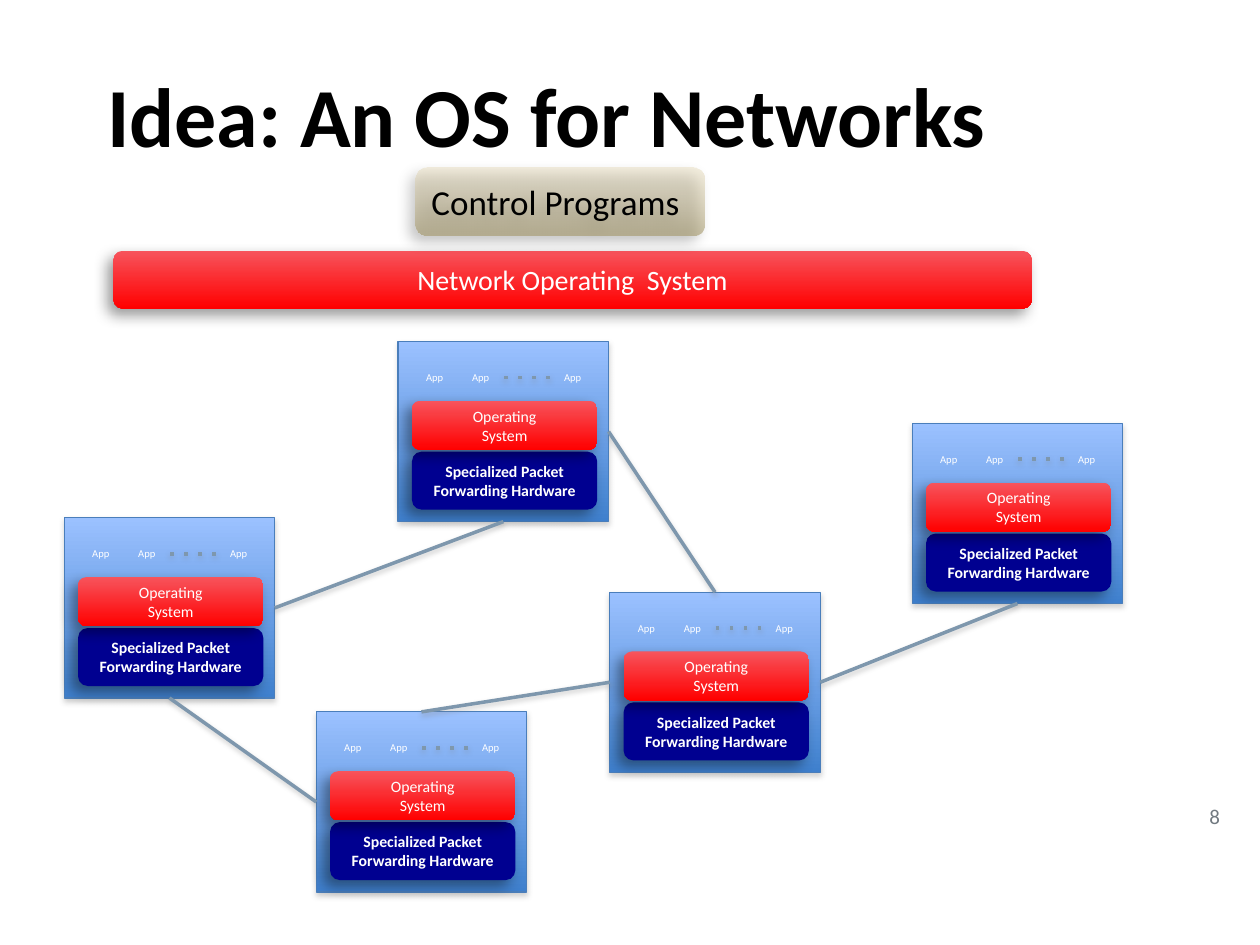
from lxml.etree import SubElement
from pptx import Presentation
from pptx.dml.color import RGBColor
from pptx.enum.dml import MSO_LINE
from pptx.enum.shapes import MSO_CONNECTOR, MSO_SHAPE
from pptx.enum.text import MSO_ANCHOR, PP_ALIGN
from pptx.oxml.ns import qn
from pptx.util import Inches, Pt

COLS, ROWS = 100, 75
CELL = Inches(10) // COLS
TOP, LEFT, BOTTOM, RIGHT = range(4)  # connection sites of a rectangle
RED = ("F7545C", "FF0000")
BLUE = ("9BC1FF", "3F80CD")
TAN = ("E6DAB8", "A49768")
NODE_W, NODE_H = 16.7, 14.3
NODES = {
    "west": (5.1, 41.1),
    "north": (31.6, 27.1),
    "east": (72.4, 33.6),
    "south": (25.1, 56.5),
    "mid": (48.4, 47),
}
LINKS = [
    ("west", RIGHT, "north", BOTTOM),
    ("north", RIGHT, "mid", TOP),
    ("south", TOP, "mid", LEFT),
    ("west", BOTTOM, "south", LEFT),
    ("mid", RIGHT, "east", BOTTOM),
]


def grid(*cells):
    return [round(n * CELL) for n in cells]


def color(code):
    return RGBColor.from_string(code)


def write(shape, text, size, ink="FFFFFF", bold=False, align=PP_ALIGN.CENTER,
          inset=None, spacing=None):
    """Fill a shape with text, one paragraph for each line."""
    frame = shape.text_frame
    frame.word_wrap = True
    frame.vertical_anchor = MSO_ANCHOR.MIDDLE
    if inset is not None:
        frame.margin_left = frame.margin_right = inset
        frame.margin_top = frame.margin_bottom = inset
    frame.text = text
    for para in frame.paragraphs:
        para.alignment = align
        if spacing:
            para.line_spacing = spacing
        font = para.runs[0].font
        font.name, font.size, font.bold = "Calibri", Pt(size), bold
        font.color.rgb = color(ink)


def cast(shape, ink, alpha, blur, dist, angle):
    """Give a shape an outer shadow; alpha in percent, angle in degrees."""
    props = shape._element.spPr
    for old in props.findall(qn("a:effectLst")):
        props.remove(old)
    effects = SubElement(props, qn("a:effectLst"))
    shade = SubElement(effects, qn("a:outerShdw"), blurRad=str(Pt(blur)),
                       dist=str(Pt(dist)), dir=str(angle * 60000),
                       rotWithShape="0")
    tone = SubElement(shade, qn("a:srgbClr"), val=ink)
    SubElement(tone, qn("a:alpha"), val=str(alpha * 1000))


def paint(shape, fill, alphas=()):
    """Use a solid colour, or a (top, bottom) pair as a gradient."""
    if isinstance(fill, str):
        shape.fill.solid()
        shape.fill.fore_color.rgb = color(fill)
        return
    shape.fill.gradient()
    shape.fill.gradient_angle = 270
    for stop, code in zip(shape.fill.gradient_stops, fill):
        stop.color.rgb = color(code)
    tones = shape._element.spPr.iter(qn("a:srgbClr"))
    for tone, alpha in zip(tones, alphas):
        SubElement(tone, qn("a:alpha"), val=str(alpha * 1000))


def panel(shapes, x, y):
    box = shapes.add_shape(MSO_SHAPE.RECTANGLE, *grid(x, y, NODE_W, NODE_H))
    paint(box, BLUE)
    box.line.color.rgb = color("4A7EBB")
    box.line.width = Pt(0.75)
    cast(box, "808080", 35, 3.1, 1.8, 90)
    return box


def block(shapes, place, fill, text, size, alphas=(), **style):
    """Draw a rounded, shadowed box with a label."""
    box = shapes.add_shape(MSO_SHAPE.ROUNDED_RECTANGLE, *grid(*place))
    paint(box, fill, alphas)
    box.line.fill.background()
    cast(box, "000000", 40, 8, 5, 135)
    write(box, text, size, **style)


def label(shapes, place, text, size, **style):
    write(shapes.add_textbox(*grid(*place)), text, size, **style)


def wire(shapes, ends=(0, 0, 0, 0), dotted=False):
    line = shapes.add_connector(MSO_CONNECTOR.STRAIGHT, *grid(*ends))
    line.line.color.rgb = color("7E97AD")
    line.line.width = Pt(2)
    if dotted:
        line.line.dash_style = MSO_LINE.ROUND_DOT
        line._element.spPr.find(".//" + qn("a:prstDash")).set("val", "dot")
    cast(line, "808080", 38, 3.1, 1.6, 90)
    return line


def node(shapes, x, y):
    """Draw one network device and return its panel."""
    box = panel(shapes, x, y)
    block(shapes, (x + 1.1, y + 8.75, 14.7, 4.6), "000090",
          "Specialized Packet Forwarding Hardware", 9, bold=True)
    block(shapes, (x + 1.1, y + 4.7, 14.7, 3.9), RED, "Operating\nSystem", 9)
    apps = shapes.add_group_shape().shapes
    for step in (1.25, 4.9, 12.2):
        label(apps, (x + step, y + 1.15, 3.3, 3.4), "App", 6, inset=0)
    wire(apps, (x + 8.4, y + 2.85, x + 12.05, y + 2.85), dotted=True)
    return box


def main():
    deck = Presentation()
    deck.slide_width, deck.slide_height = grid(COLS, ROWS)
    slide = deck.slides.add_slide(deck.slide_layouts[5])
    shapes = slide.shapes

    title = shapes.title
    title.left, title.top, title.width, title.height = grid(7.5, 3.3, 79.2, 12.5)
    write(title, "Idea: An OS for Networks", 48, ink="000000", bold=True,
          align=PP_ALIGN.LEFT, spacing=0.9)

    boxes = {name: node(shapes, *spot) for name, spot in NODES.items()}
    for start, out, end, into in LINKS:
        line = wire(shapes)
        line.begin_connect(boxes[start], out)
        line.end_connect(boxes[end], into)

    block(shapes, (9, 19.9, 72.9, 4.6), RED, "Network Operating  System", 16)
    block(shapes, (33, 13.3, 22.9, 5.4), TAN, "Control Programs", 20,
          alphas=(45, 60), ink="000000", align=PP_ALIGN.LEFT)
    label(shapes, (95, 62.8, 4.2, 4), "8", 12, ink="727A81",
          align=PP_ALIGN.LEFT)
    deck.save("out.pptx")


if __name__ == "__main__":
    main()
